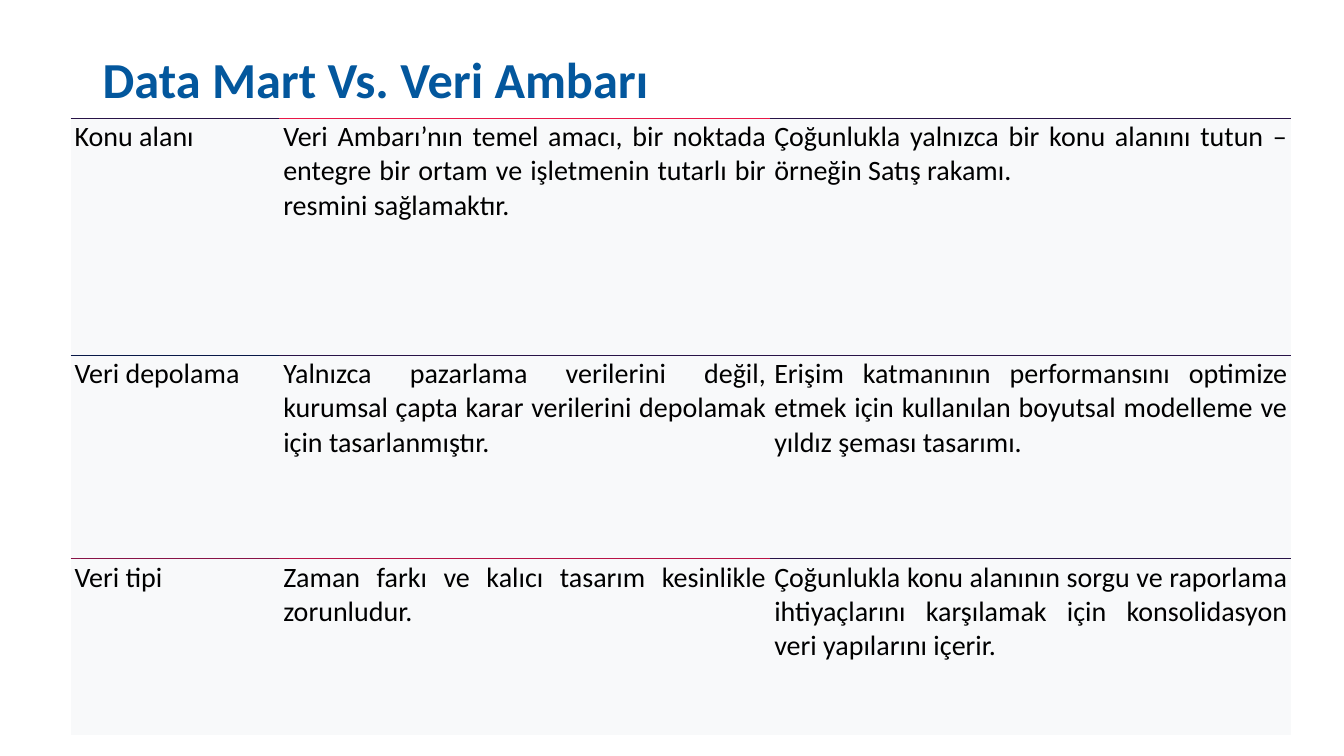
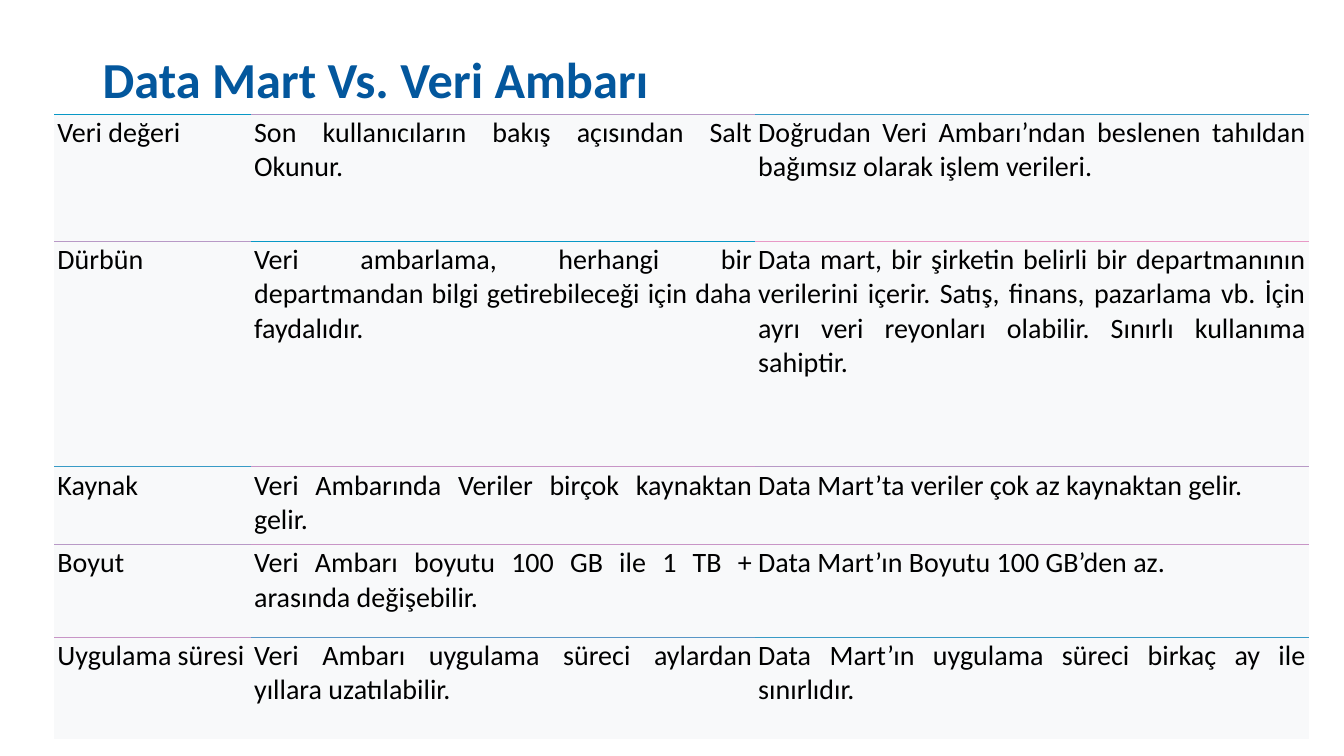
from lxml.etree import SubElement
from pptx import Presentation
from pptx.dml.color import RGBColor
from pptx.enum.text import MSO_ANCHOR, PP_ALIGN
from pptx.oxml.ns import qn
from pptx.util import Inches, Pt

FONT = "Calibri"
TITLE_BLUE = RGBColor(0x03, 0x57, 0x9D)
TEXT_BLACK = RGBColor(0x00, 0x00, 0x00)
CELL_GREY = RGBColor(0xF8, 0xF9, 0xFA)

# Rule colours of the first comparison
INDIGO = RGBColor(0x28, 0x13, 0x47)
NAVY = RGBColor(0x08, 0x18, 0x47)
CRIMSON = RGBColor(0xE8, 0x16, 0x47)
PLUM = RGBColor(0x88, 0x13, 0x47)
ROSE = RGBColor(0xB8, 0x13, 0x47)

# Rule colours of the second comparison
LILAC = RGBColor(0xB8, 0x99, 0xC6)
ORCHID = RGBColor(0xC8, 0x95, 0xC6)
PINK = RGBColor(0xE8, 0x99, 0xC6)
AZURE = RGBColor(0x08, 0x98, 0xC6)
SKY = RGBColor(0x38, 0x9B, 0xC6)
PERIWINKLE = RGBColor(0x58, 0x96, 0xC6)

RULE_WIDTH = Pt(0.38)
NO_STYLE = "{2D5ABB26-0587-4C30-8999-92F81FD0307C}"
TITLE = "Data Mart Vs. Veri Ambarı"
TITLE_BOX = (0.92, 0.4, 11.5, 0.83)

# Each row: height, colours of the rule above it, texts
SUBJECT_ROWS = [
    (2.35, (INDIGO, CRIMSON, INDIGO), (
        "Konu alanı",
        "Veri Ambarı’nın temel amacı, bir noktada entegre bir ortam ve "
        "işletmenin tutarlı bir resmini sağlamaktır.",
        "Çoğunlukla yalnızca bir konu alanını tutun – örneğin Satış rakamı.")),
    (2.02, (NAVY, INDIGO, INDIGO), (
        "Veri depolama",
        "Yalnızca pazarlama verilerini değil, kurumsal çapta karar verilerini "
        "depolamak için tasarlanmıştır.",
        "Erişim katmanının performansını optimize etmek için kullanılan "
        "boyutsal modelleme ve yıldız şeması tasarımı.")),
    (1.75, (PLUM, ROSE, INDIGO), (
        "Veri tipi",
        "Zaman farkı ve kalıcı tasarım kesinlikle zorunludur.",
        "Çoğunlukla konu alanının sorgu ve raporlama ihtiyaçlarını karşılamak "
        "için konsolidasyon veri yapılarını içerir.")),
]
VALUE_ROWS = [
    (1.26, (AZURE, LILAC, SKY), (
        "Veri değeri",
        "Son kullanıcıların bakış açısından Salt Okunur.",
        "Doğrudan Veri Ambarı’ndan beslenen tahıldan bağımsız olarak işlem "
        "verileri.")),
    (2.24, (LILAC, AZURE, PINK), (
        "Dürbün",
        "Veri ambarlama, herhangi bir departmandan bilgi getirebileceği için "
        "daha faydalıdır.",
        "Data mart, bir şirketin belirli bir departmanının verilerini "
        "içerir. Satış, finans, pazarlama vb. İçin ayrı veri reyonları "
        "olabilir. Sınırlı kullanıma sahiptir.")),
    (0.77, (SKY, ORCHID, LILAC), (
        "Kaynak",
        "Veri Ambarında Veriler birçok kaynaktan gelir.",
        "Data Mart’ta veriler çok az kaynaktan gelir.")),
    (0.92, (LILAC, ORCHID, ORCHID), (
        "Boyut",
        "Veri Ambarı boyutu 100 GB ile 1 TB + arasında değişebilir.",
        "Data Mart’ın Boyutu 100 GB’den az.")),
    (1.01, (ORCHID, PERIWINKLE, SKY), (
        "Uygulama süresi",
        "Veri Ambarı uygulama süreci aylardan yıllara uzatılabilir.",
        "Data Mart’ın uygulama süreci birkaç ay ile sınırlıdır.")),
]

# Each comparison: left, top, column widths, side margin of cells, rows
COMPARISONS = [
    (0.7, 1.17, (2.07, 4.87, 5.17), 0.04, SUBJECT_ROWS),
    (0.54, 1.13, (1.95, 5, 5.49), 0.03, VALUE_ROWS),
]


def style_text(paragraph, size, color, bold=False):
    font = paragraph.font
    font.name, font.size, font.bold = FONT, Pt(size), bold
    font.color.rgb = color


def add_title(slide, box):
    frame = slide.shapes.add_textbox(*map(Inches, box)).text_frame
    frame.word_wrap = True
    frame.vertical_anchor = MSO_ANCHOR.MIDDLE
    heading = frame.paragraphs[0]
    heading.text = TITLE
    heading.line_spacing = 0.9
    style_text(heading, 36, TITLE_BLUE, bold=True)


def add_rule(cell, side, color):
    """Draw one border; called before the fill, which must follow it."""
    rule = SubElement(cell._tc.get_or_add_tcPr(), qn(f"a:{side}"), w=str(RULE_WIDTH))
    fill = SubElement(rule, qn("a:solidFill"))
    SubElement(fill, qn("a:srgbClr"), val=str(color))


def fill_cell(cell, text, margin):
    cell.fill.solid()
    cell.fill.fore_color.rgb = CELL_GREY
    cell.margin_left = cell.margin_right = Inches(margin)
    cell.margin_top = cell.margin_bottom = Inches(0.02)
    cell.text = text
    paragraph = cell.text_frame.paragraphs[0]
    paragraph.alignment = PP_ALIGN.JUSTIFY
    style_text(paragraph, 20, TEXT_BLACK)


def add_comparison(slide, left, top, widths, margin, rows):
    height = sum(row[0] for row in rows)
    table = slide.shapes.add_table(
        len(rows), len(widths), Inches(left), Inches(top),
        Inches(sum(widths)), Inches(height)).table
    table.first_row = table.horz_banding = False
    table._tbl.tblPr.find(qn("a:tableStyleId")).text = NO_STYLE
    for column, width in zip(table.columns, widths):
        column.width = Inches(width)

    for r, (row_height, rules, texts) in enumerate(rows):
        table.rows[r].height = Inches(row_height)
        for c, text in enumerate(texts):
            cell = table.cell(r, c)
            add_rule(cell, "lnT", rules[c])
            if r + 1 < len(rows):
                add_rule(cell, "lnB", rows[r + 1][1][c])
            fill_cell(cell, text, margin)


def main():
    deck = Presentation()
    deck.slide_width, deck.slide_height = Inches(13.33), Inches(7.5)
    blank = deck.slide_layouts[6]
    for comparison in COMPARISONS:
        slide = deck.slides.add_slide(blank)
        add_title(slide, TITLE_BOX)
        add_comparison(slide, *comparison)
    deck.save("out.pptx")


if __name__ == "__main__":
    main()
